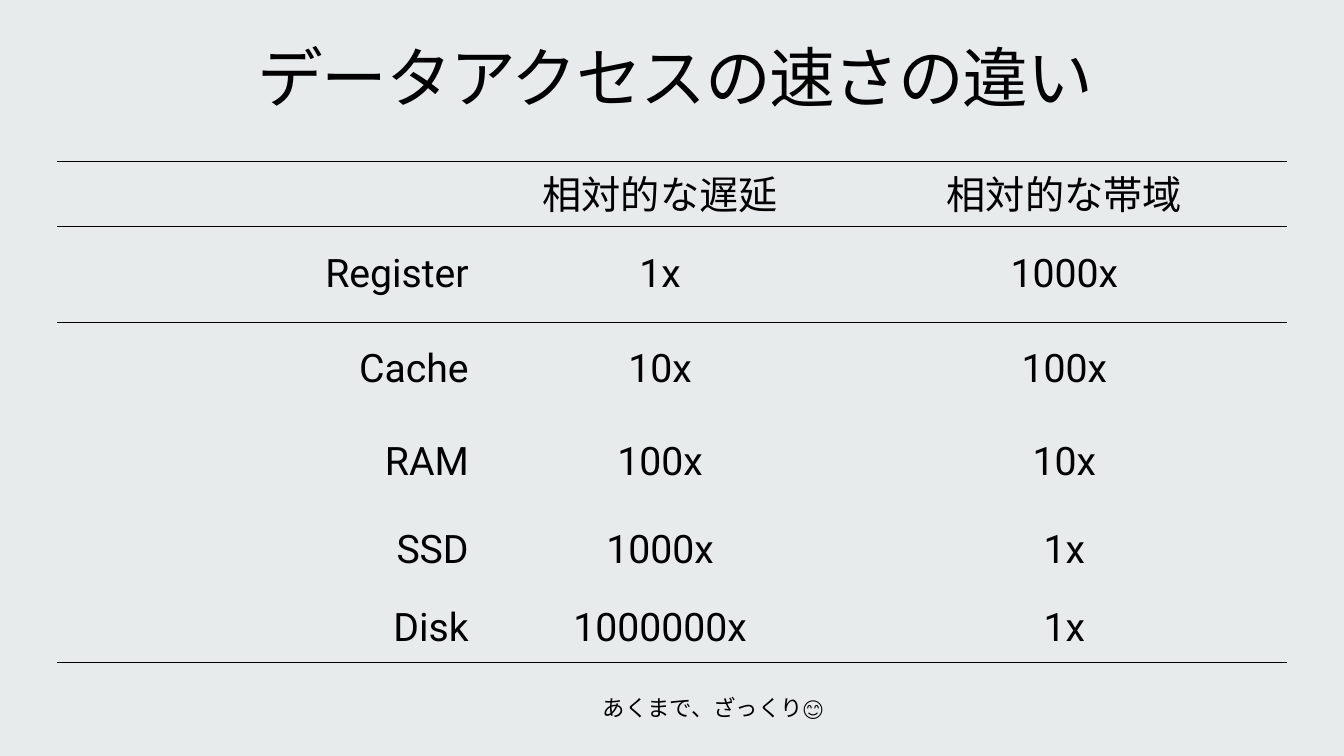
"""Build the slide that compares data access speeds."""
from dataclasses import dataclass

from lxml import etree
from pptx import Presentation
from pptx.dml.color import RGBColor
from pptx.enum.text import MSO_ANCHOR, MSO_AUTO_SIZE, PP_ALIGN
from pptx.oxml.ns import qn
from pptx.util import Pt

CENTER, RIGHT = PP_ALIGN.CENTER, PP_ALIGN.RIGHT
MIDDLE, TOP = MSO_ANCHOR.MIDDLE, MSO_ANCHOR.TOP
FIXED_SIZE = MSO_AUTO_SIZE.NONE
TITLE_ONLY = 5
PLAIN_TABLE_STYLE = "{2D5ABB26-0587-4C30-8999-92F81FD0307C}"

TITLE = "データアクセスの速さの違い"
FOOTNOTE = "あくまで、ざっくり😊"
ROWS = [
    ("", "相対的な遅延", "相対的な帯域"),
    ("Register", "1x", "1000x"),
    ("Cache", "10x", "100x"),
    ("RAM", "100x", "10x"),
    ("SSD", "1000x", "1x"),
    ("Disk", "1000000x", "1x"),
]
COLUMN_WIDTHS = (301, 259, 318.5)
ROW_HEIGHTS = (46.8, 68.4, 68.4, 63.4, 55.4, 55.4)
LINE_SPACINGS = (0.9, 0.9, 0.9, 0.9, 1.2, 1.2)
ROW_BORDERS = {0: ("lnT", "lnB"), 1: ("lnT",), len(ROWS) - 1: ("lnB",)}
SLIDE_SIZE = (960, 540)
TITLE_BOX = (21.6, 23, 921.6, 70.6)
TABLE_CORNER = (41, 115.2)
FOOTNOTE_BOX = (372.2, 486.7, 274.3, 41)


@dataclass(frozen=True)
class Theme:
    font: str = "Roboto"
    ink: str = "000000"
    background: str = "E7EBEC"
    title_size: float = 47
    table_size: float = 28
    footnote_size: float = 16
    border_width: float = 1


THEME = Theme()


def write(text_frame, text, size, alignment=CENTER, line_spacing=0.9):
    text_frame.text = text
    paragraph = text_frame.paragraphs[0]
    paragraph.alignment = alignment
    paragraph.line_spacing = line_spacing
    for run in paragraph.runs:
        run.font.name = THEME.font
        run.font.size = Pt(size)
        run.font.color.rgb = RGBColor.from_string(THEME.ink)
    return paragraph


def set_frame(text_frame, anchor, horizontal, vertical):
    text_frame.word_wrap = True
    text_frame.auto_size = FIXED_SIZE
    text_frame.vertical_anchor = anchor
    text_frame.margin_left = text_frame.margin_right = Pt(horizontal)
    text_frame.margin_top = text_frame.margin_bottom = Pt(vertical)


def add_border(cell, side):
    properties = cell._tc.get_or_add_tcPr()
    line = etree.SubElement(properties, qn(f"a:{side}"), w=str(Pt(THEME.border_width)))
    fill = etree.SubElement(line, qn("a:solidFill"))
    etree.SubElement(fill, qn("a:srgbClr"), val=THEME.ink)


def add_title(slide):
    title = slide.shapes.title
    title.left, title.top, title.width, title.height = map(Pt, TITLE_BOX)
    set_frame(title.text_frame, MIDDLE, 11.5, 7.2)
    paragraph = write(title.text_frame, TITLE, THEME.title_size)
    paragraph.runs[0]._r.get_or_add_rPr().set("spc", "-100")


def add_speed_table(slide):
    size = (sum(COLUMN_WIDTHS), sum(ROW_HEIGHTS))
    frame = slide.shapes.add_table(
        len(ROWS), len(COLUMN_WIDTHS), *map(Pt, TABLE_CORNER + size))
    table = frame.table
    table.first_row = table.horz_banding = False
    table._tbl.tblPr.find(qn("a:tableStyleId")).text = PLAIN_TABLE_STYLE
    for column, width in zip(table.columns, COLUMN_WIDTHS):
        column.width = Pt(width)
    for row_index, values in enumerate(ROWS):
        table.rows[row_index].height = Pt(ROW_HEIGHTS[row_index])
        for column_index, value in enumerate(values):
            cell = table.cell(row_index, column_index)
            cell.vertical_anchor = MIDDLE
            for side in ROW_BORDERS.get(row_index, ()):
                add_border(cell, side)
            cell.fill.background()
            alignment = CENTER if column_index else RIGHT
            write(cell.text_frame, value, THEME.table_size,
                  alignment, LINE_SPACINGS[row_index])


def add_footnote(slide):
    footnote = slide.shapes.add_textbox(*map(Pt, FOOTNOTE_BOX))
    set_frame(footnote.text_frame, TOP, 14.4, 11.5)
    paragraph = write(footnote.text_frame, FOOTNOTE, THEME.footnote_size)
    paragraph.space_after = Pt(6)


def main():
    presentation = Presentation()
    presentation.slide_width, presentation.slide_height = map(Pt, SLIDE_SIZE)
    slide = presentation.slides.add_slide(presentation.slide_layouts[TITLE_ONLY])
    slide.background.fill.solid()
    slide.background.fill.fore_color.rgb = RGBColor.from_string(THEME.background)
    add_title(slide)
    add_speed_table(slide)
    add_footnote(slide)
    presentation.save("out.pptx")


if __name__ == "__main__":
    main()
